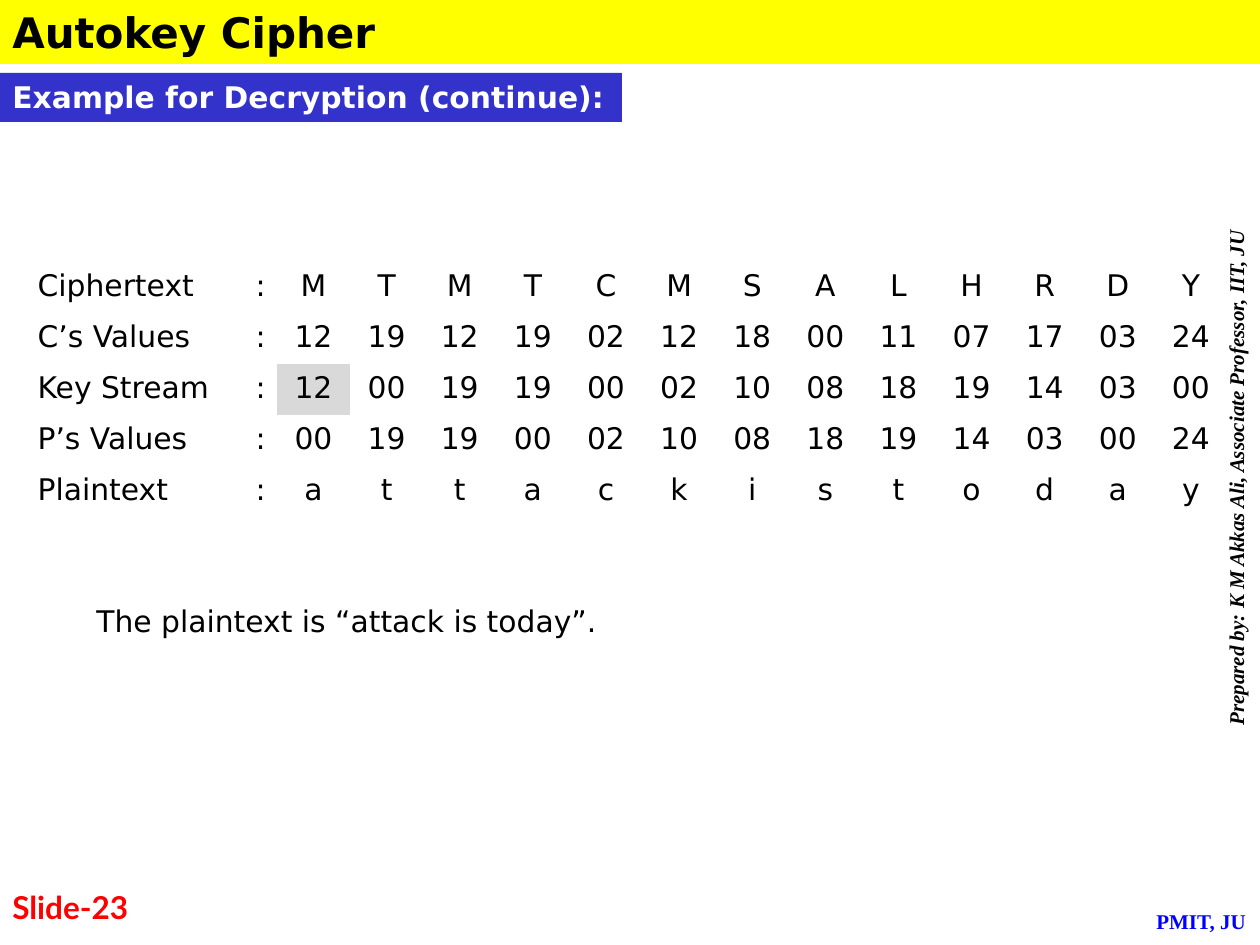
from dataclasses import dataclass

from pptx import Presentation
from pptx import util as u
from pptx.dml.color import RGBColor
from pptx.enum import shapes, text

SCALE = 914400 / 126
NO_STYLE = "{2D5ABB26-0587-4C30-8999-92F81FD0307C}"
LEFT, CENTER = text.PP_ALIGN.LEFT, text.PP_ALIGN.CENTER


@dataclass(frozen=True)
class Theme:
    sans: str = "DejaVu Sans"
    serif: str = "Times New Roman"
    label: str = "Lato"
    ink: str = "000000"
    white: str = "FFFFFF"
    yellow: str = "FFFF00"
    indigo: str = "3333CC"
    blue: str = "0000FF"
    red: str = "FF0000"
    gray: str = "D9D9D9"
    title: int = 24
    number: int = 18
    body: int = 17
    small: int = 12


T = Theme()

ROWS = [
    ("Ciphertext", "M T M T C M S A L H R D Y"),
    ("C’s Values", "12 19 12 19 02 12 18 00 11 07 17 03 24"),
    ("Key Stream", "12 00 19 19 00 02 10 08 18 19 14 03 00"),
    ("P’s Values", "00 19 19 00 02 10 08 18 19 14 03 00 24"),
    ("Plaintext", "a t t a c k i s t o d a y"),
]
KEY_CELL = (2, 2)


def px(n):
    return u.Emu(round(n * SCALE))


def write(tf, words, size=T.body, font=T.sans, color=T.ink, bold=False,
          italic=False, align=LEFT, wrap=True):
    tf.word_wrap = wrap
    p = tf.paragraphs[0]
    p.alignment = align
    r = p.add_run()
    r.text = words
    r.font.size = u.Pt(size)
    r.font.name = font
    r.font.bold = bold
    r.font.italic = italic
    r.font.color.rgb = RGBColor.from_string(color)


def textbox(s, box, words, **fmt):
    tf = s.shapes.add_textbox(*map(px, box)).text_frame
    write(tf, words, **fmt)
    return tf


def band(s, box, fill, words, **fmt):
    sp = s.shapes.add_shape(shapes.MSO_SHAPE.RECTANGLE, *map(px, box))
    sp.shadow.inherit = False
    sp.fill.solid()
    sp.fill.fore_color.rgb = RGBColor.from_string(fill)
    sp.line.fill.background()
    sp.text_frame.vertical_anchor = text.MSO_ANCHOR.TOP
    write(sp.text_frame, words, bold=True, **fmt)


def header(s, box):
    x, y, w, h = box
    band(s, (x, y, w, 64), T.yellow, "Autokey Cipher", size=T.title)
    band(s, (x, y + 73, 622, h - 73), T.indigo,
         "Example for Decryption (continue):", color=T.white, wrap=False)


def cipher_table(s, box):
    x, y, w, h = box
    label_w, colon_w = 218, 34
    letters = len(ROWS[0][1].split())
    gf = s.shapes.add_table(len(ROWS), letters + 2, *map(px, box))
    tbl = gf.table
    tbl.first_row = tbl.horz_banding = False
    gf._element.xpath(".//a:tableStyleId")[0].text = NO_STYLE
    letter_w = (w - label_w - colon_w) / letters
    for col, width in zip(tbl.columns, [label_w, colon_w] + [letter_w] * letters):
        col.width = px(width)
    for i, (label, values) in enumerate(ROWS):
        tbl.rows[i].height = px(h / len(ROWS))
        for j, words in enumerate([label, ":"] + values.split()):
            cell = tbl.cell(i, j)
            if (i, j) == KEY_CELL:
                cell.fill.solid()
                cell.fill.fore_color.rgb = RGBColor.from_string(T.gray)
            else:
                cell.fill.background()
            write(cell.text_frame, words, align=CENTER if j > 1 else LEFT)


def conclusion(s, box):
    tf = textbox(s, box, "The plaintext is “attack is today”.",
                 align=text.PP_ALIGN.JUSTIFY)
    tf.vertical_anchor = text.MSO_ANCHOR.MIDDLE


def credit(s, box):
    tf = textbox(s, box, "Prepared by: K M Akkas Ali, Associate Professor, IIT, JU",
                 size=T.small, font=T.serif, bold=True, italic=True, align=CENTER)
    tf._txBody.bodyPr.set("vert", "vert270")


def footer(s, box):
    x, y, w, h = box
    textbox(s, (x, y, 262, h), "Slide-23",
            size=T.number, font=T.label, color=T.red, bold=True)
    textbox(s, (x + w - 116, y + 20, 116, 38), "PMIT, JU",
            size=T.small, font=T.serif, color=T.blue, bold=True)


def main():
    prs = Presentation()
    prs.slide_width, prs.slide_height = px(1260), px(945)
    s = prs.slides.add_slide(prs.slide_layouts[6])
    credit(s, (1217, 42, 50, 872))
    header(s, (0, 0, 1260, 122))
    cipher_table(s, (25, 262, 1203, 255))
    conclusion(s, (84, 596, 1103, 49))
    footer(s, (0, 882, 1260, 63))
    prs.save("out.pptx")


if __name__ == "__main__":
    main()
